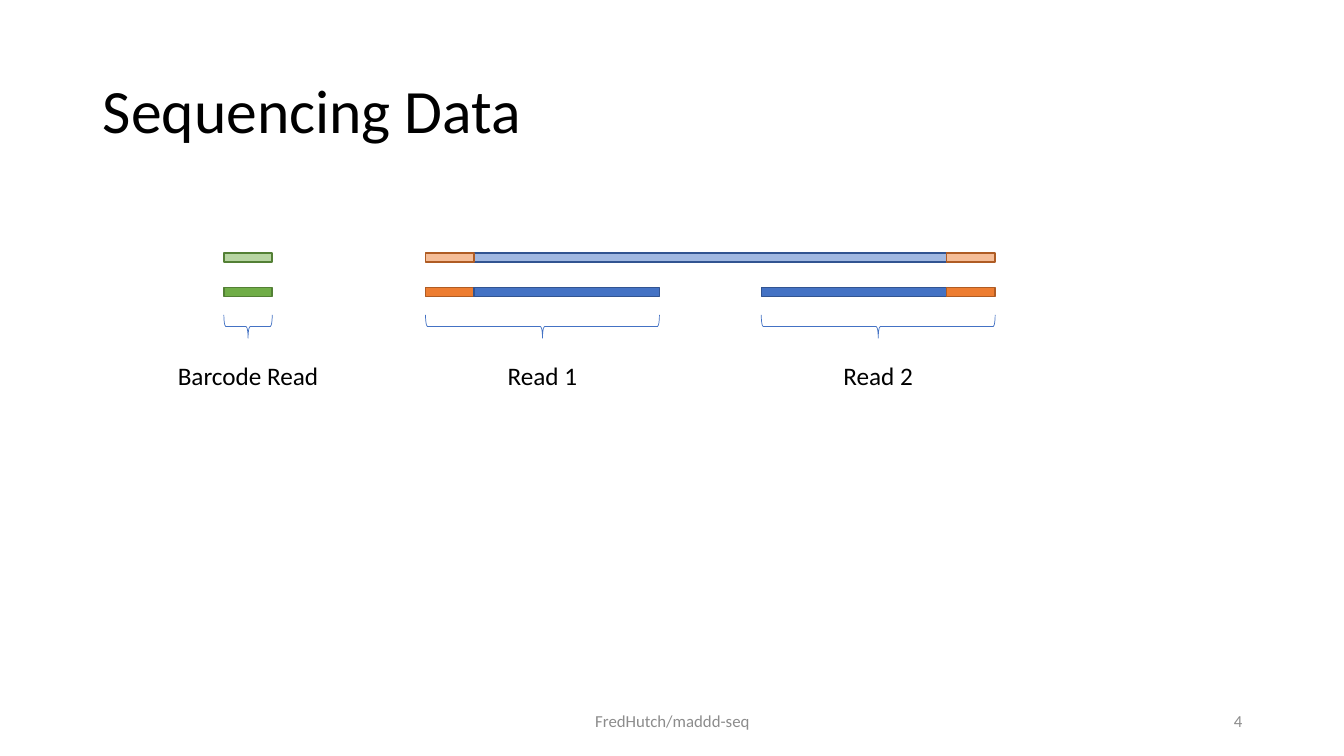
from pptx import Presentation
from pptx.dml.color import RGBColor
from pptx.enum.shapes import MSO_SHAPE as Shape
from pptx.enum.text import MSO_ANCHOR as Anchor, PP_ALIGN as Align
from pptx.oxml.ns import qn
from pptx.util import Inches, Pt
from lxml.etree import SubElement

THEME = {
    "font": "Calibri",
    "text": "000000",
    "muted": "8C8C8C",
    "brace": "4472C4",
    "insert": ("4472C4", "325491"),
    "adapter": ("ED7D31", "AF5C24"),
    "barcode": ("70AD47", "538035"),
    "title_size": 44,
    "label_size": 18,
    "footer_size": 12,
}

TITLE = "Sequencing Data"
FOOTER = "FredHutch/maddd-seq"
PAGE_NUMBER = "4"

# Segments are (kind, left, width)
TAG = 0.48
READ_INSERT = 1.84
TEMPLATE_SEGMENTS = [
    ("insert", 4.7, 4.69),
    ("adapter", 4.22, TAG),
    ("adapter", 9.39, TAG),
    ("barcode", 2.22, TAG),
]
READS = [
    ("Barcode Read", 1.67, [("barcode", 2.22, TAG)]),
    ("Read 1", 0.9, [("adapter", 4.22, TAG), ("insert", 4.7, READ_INSERT)]),
    ("Read 2", 0.9, [("insert", 7.55, READ_INSERT), ("adapter", 9.39, TAG)]),
]

TEMPLATE_TOP, READ_TOP, BAR_HEIGHT = 2.51, 2.85, 0.09
BRACE_MIDDLE, BRACE_DEPTH = 3.24, 0.23
LABEL_TOP, LABEL_HEIGHT = 3.53, 0.4
FOOTER_TOP, FOOTER_HEIGHT = 6.95, 0.4


def set_text(shape, text, size, color, align, anchor, wrap=True):
    frame = shape.text_frame
    frame.word_wrap = wrap
    frame.vertical_anchor = anchor
    frame.text = text
    paragraph = frame.paragraphs[0]
    paragraph.alignment = align
    font_format = {"name": THEME["font"], "size": Pt(size), "bold": False}
    for name, value in font_format.items():
        setattr(paragraph.font, name, value)
    paragraph.font.color.rgb = RGBColor.from_string(color)
    return paragraph


def add_text(slide, box, *text_format, **options):
    shape = slide.shapes.add_textbox(*map(Inches, box))
    set_text(shape, *text_format, **options)


def add_segment(slide, segment, top, opacity=100):
    kind, left, width = segment
    fill, line = THEME[kind]
    box = map(Inches, (left, top, width, BAR_HEIGHT))
    bar = slide.shapes.add_shape(Shape.RECTANGLE, *box)
    bar.shadow.inherit = False
    bar.fill.solid()
    bar.fill.fore_color.rgb = RGBColor.from_string(fill)
    bar.line.color.rgb = RGBColor.from_string(line)
    bar.line.width = Pt(1)
    if opacity < 100:
        color = next(bar.fill._xPr.iter(qn("a:srgbClr")))
        SubElement(color, qn("a:alpha"), val=str(opacity * 1000))


def add_brace(slide, center, span):
    """Place a right brace turned a quarter so that it points down."""
    box = (center - BRACE_DEPTH / 2, BRACE_MIDDLE - span / 2, BRACE_DEPTH, span)
    brace = slide.shapes.add_shape(Shape.RIGHT_BRACE, *map(Inches, box))
    brace.rotation = 90
    brace.shadow.inherit = False
    brace.fill.background()
    brace.line.color.rgb = RGBColor.from_string(THEME["brace"])
    brace.line.width = Pt(0.5)


def add_read(slide, label, label_width, segments):
    for segment in segments:
        add_segment(slide, segment, READ_TOP)
    start = segments[0][1]
    span = sum(width for _, _, width in segments)
    center = start + span / 2
    add_brace(slide, center, span)
    box = (center - label_width / 2, LABEL_TOP, label_width, LABEL_HEIGHT)
    add_text(slide, box, label, THEME["label_size"], THEME["text"],
             Align.CENTER, Anchor.TOP, wrap=False)


def main():
    presentation = Presentation()
    presentation.slide_width = Inches(13.33)
    presentation.slide_height = Inches(7.5)
    slide = presentation.slides.add_slide(presentation.slide_layouts[5])

    title = slide.shapes.title
    title_box = {"left": 0.92, "top": 0.4, "width": 11.5, "height": 1.45}
    for name, value in title_box.items():
        setattr(title, name, Inches(value))
    paragraph = set_text(title, TITLE, THEME["title_size"], THEME["text"],
                         Align.LEFT, Anchor.MIDDLE)
    paragraph.line_spacing = 0.9

    for segment in TEMPLATE_SEGMENTS:
        add_segment(slide, segment, TEMPLATE_TOP, opacity=50)
    for read in READS:
        add_read(slide, *read)

    for text, left, width, align in [
        (FOOTER, 4.42, 4.5, Align.CENTER),
        (PAGE_NUMBER, 9.42, 3, Align.RIGHT),
    ]:
        add_text(slide, (left, FOOTER_TOP, width, FOOTER_HEIGHT), text,
                 THEME["footer_size"], THEME["muted"], align, Anchor.MIDDLE)

    presentation.save("out.pptx")


if __name__ == "__main__":
    main()
